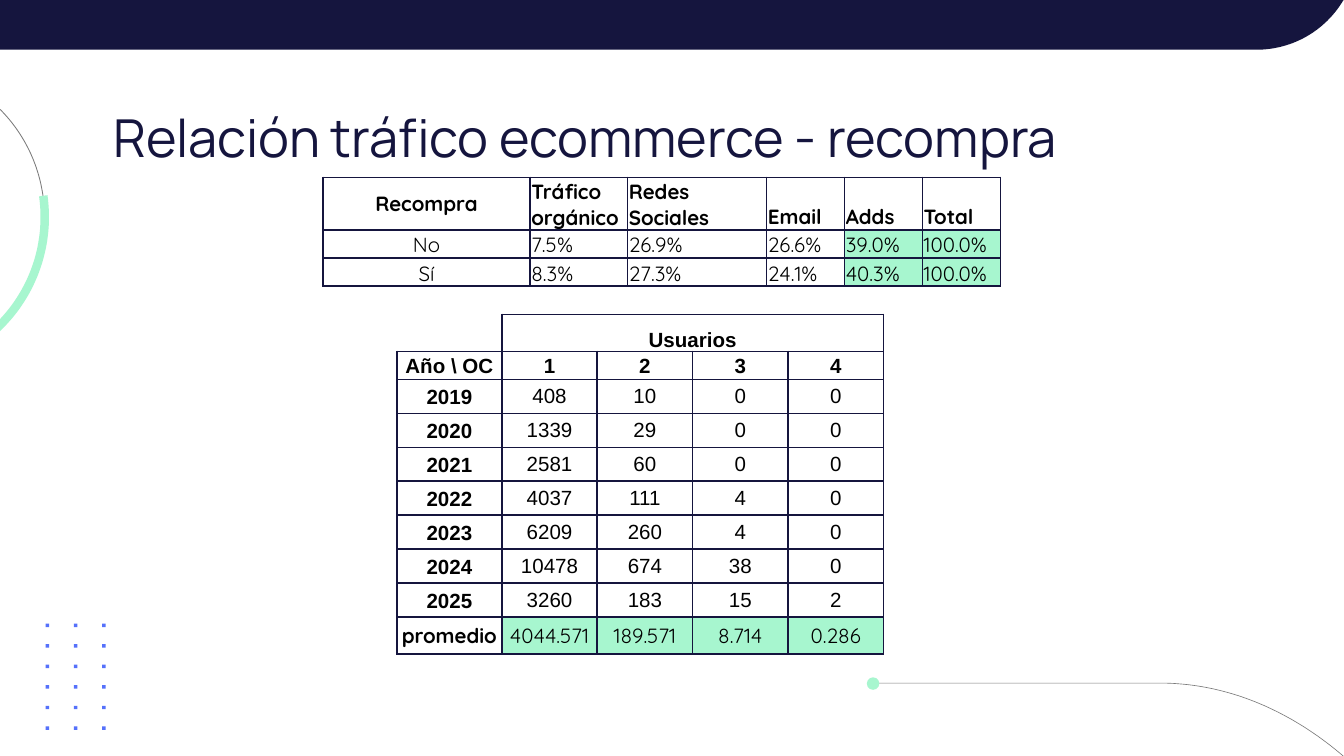
from collections.abc import Callable
from dataclasses import dataclass
from math import cos, radians, sin

from lxml.etree import SubElement
from pptx import Presentation
from pptx.dml.color import RGBColor
from pptx.enum.shapes import MSO_SHAPE
from pptx.enum.text import MSO_ANCHOR, PP_ALIGN
from pptx.oxml.ns import qn
from pptx.util import Emu, Inches, Pt


@dataclass(frozen=True)
class Theme:
    navy: str = "15153E"
    mint: str = "A7F6CF"
    blue: str = "5571FB"
    gray: str = "7A7A7A"
    black: str = "000000"
    title_font: str = "Manrope"
    table_font: str = "Quicksand"
    number_font: str = "Arial"
    title_size: int = 28
    table_size: int = 11


@dataclass(frozen=True)
class CellStyle:
    font: str
    bold: bool = False
    align: PP_ALIGN = PP_ALIGN.CENTER
    anchor: MSO_ANCHOR = MSO_ANCHOR.MIDDLE
    padding: tuple[float, float] = (0.1, 0)
    fill: str | None = None
    borders: str = "LRTB"


@dataclass(frozen=True)
class Grid:
    left: float
    top: float
    columns: list[float]
    rows: list[float]
    cells: list[list[str]]


THEME = Theme()
Point = tuple[float, float]

# The slide is a grid of 100 columns by 56.25 rows, each a tenth of an inch.
COLUMNS, ROWS = 100, 56.25


def unit(count: float) -> Emu:
    return Inches(count / 10)


def color(value: str) -> RGBColor:
    return RGBColor.from_string(value)


def write(para, text: str, *, font: str, size: float, ink: str,
          bold: bool = False, align: PP_ALIGN = PP_ALIGN.LEFT) -> None:
    para.alignment = align
    if not text:  # an empty cell still needs a type size for its row height
        SubElement(para._p, qn("a:endParaRPr"), sz=str(size * 100))
        return
    span = para.add_run()
    span.text = text
    span.font.name, span.font.size, span.font.bold = font, Pt(size), bold
    span.font.color.rgb = color(ink)


def paint(shape, fill: str | None = None, line: str | None = None, width: float = 0) -> None:
    shape.shadow.inherit = False
    if fill:
        shape.fill.solid()
        shape.fill.fore_color.rgb = color(fill)
    else:
        shape.fill.background()
    if line:
        shape.line.color.rgb = color(line)
        shape.line.width = Pt(width)
    else:
        shape.line.fill.background()


def arc(center: Point, radius: Point, start: float, end: float, steps: int = 40) -> list[Point]:
    """Points on an ellipse; angles in degrees, clockwise from the right."""
    angles = [radians(start + (end - start) * step / steps) for step in range(steps + 1)]
    return [(center[0] + radius[0] * cos(a), center[1] + radius[1] * sin(a)) for a in angles]


def draw_outline(slide, points: list[Point], *, fill: str | None = None,
                 line: str | None = None, width: float = 0) -> None:
    corners = [(unit(x), unit(y)) for x, y in points]
    builder = slide.shapes.build_freeform(*corners[0])
    builder.add_line_segments(corners[1:], close=fill is not None)
    paint(builder.convert_to_shape(), fill, line, width)


def draw_preset(slide, kind: MSO_SHAPE, left: float, top: float, size: float, fill: str) -> None:
    paint(slide.shapes.add_shape(kind, unit(left), unit(top), unit(size), unit(size)), fill)


def format_cell(cell, text: str, style: CellStyle) -> None:
    cell.margin_left = cell.margin_right = unit(0.1)
    cell.margin_top, cell.margin_bottom = map(unit, style.padding)
    cell.vertical_anchor = style.anchor
    properties = cell._tc.get_or_add_tcPr()
    for side in style.borders:
        line = SubElement(properties, qn(f"a:ln{side}"), w=str(Pt(1)))
        SubElement(SubElement(line, qn("a:solidFill")), qn("a:srgbClr"), val=THEME.navy)
    if style.fill:
        cell.fill.solid()
        cell.fill.fore_color.rgb = color(style.fill)
    else:
        cell.fill.background()
    write(cell.text_frame.paragraphs[0], text, font=style.font, size=THEME.table_size,
          ink=THEME.black, bold=style.bold, align=style.align)


def draw_table(slide, grid: Grid, style_of: Callable[[int, int], CellStyle]):
    frame = slide.shapes.add_table(
        len(grid.rows), len(grid.columns), unit(grid.left), unit(grid.top),
        unit(sum(grid.columns)), unit(sum(grid.rows)))
    table = frame.table
    table.first_row = table.horz_banding = False
    for column, width in zip(table.columns, grid.columns):
        column.width = unit(width)
    for row, height in zip(table.rows, grid.rows):
        row.height = unit(height)
    for r, texts in enumerate(grid.cells):
        for c, text in enumerate(texts):
            format_cell(table.cell(r, c), text, style_of(r, c))
    return table


def traffic_style(row: int, column: int) -> CellStyle:
    return CellStyle(
        THEME.table_font, bold=row == 0,
        align=PP_ALIGN.LEFT if column else PP_ALIGN.CENTER,
        anchor=MSO_ANCHOR.BOTTOM if row or column else MSO_ANCHOR.MIDDLE,
        fill=THEME.mint if row and column >= 4 else None)


def users_style(row: int, column: int) -> CellStyle:
    average, value = row == 9, row >= 2 and column > 0
    return CellStyle(
        THEME.table_font if average else THEME.number_font, bold=not value,
        anchor=MSO_ANCHOR.MIDDLE if row else MSO_ANCHOR.BOTTOM,
        padding=(0.3, 0.3) if value else (0.1, 0),
        fill=THEME.mint if average and value else None,
        borders="LRTB" if row or column else "RB")


TRAFFIC = Grid(24.04, 13.2, [15.4, 7.25, 10.35, 5.8, 5.8, 5.8], [3.9, 2.1, 2.1], [
    ["Recompra", "Tráfico orgánico", "Redes Sociales", "Email", "Adds", "Total"],
    ["No", "7.5%", "26.9%", "26.6%", "39.0%", "100.0%"],
    ["Sí", "8.3%", "27.3%", "24.1%", "40.3%", "100.0%"],
])
USERS = Grid(29.54, 23.4, [7.8] + [7.1] * 4, [2.75, 2.08] + [2.53] * 7 + [2.75], [
    ["", "Usuarios", "", "", ""],
    ["Año \\ OC", "1", "2", "3", "4"],
    ["2019", "408", "10", "0", "0"],
    ["2020", "1339", "29", "0", "0"],
    ["2021", "2581", "60", "0", "0"],
    ["2022", "4037", "111", "4", "0"],
    ["2023", "6209", "260", "4", "0"],
    ["2024", "10478", "674", "38", "0"],
    ["2025", "3260", "183", "15", "2"],
    ["promedio", "4044.571", "189.571", "8.714", "0.286"],
])


def draw_decoration(slide) -> None:
    # Header band with a rounded corner
    band = [(0, 0), (0, 3.7)] + arc((93.5, -3.8), (7.5, 7.5), 90, 30.4) + [(COLUMNS, 0)]
    draw_outline(slide, band, fill=THEME.navy)
    # Curve with a dot at the lower right
    curve = [(65, 50.83)] + arc((86.3, 92.63), (27.7, 41.8), -90, -60.4)
    draw_outline(slide, curve, line=THEME.gray, width=0.35)
    draw_preset(slide, MSO_SHAPE.OVAL, 64.5, 50.4, 0.93, THEME.mint)
    # Thin and thick arcs of one circle at the left edge
    center = (-8.05, 16.15)
    draw_outline(slide, arc(center, (11.36, 11.36), -44.8, -7.8), line=THEME.gray, width=0.44)
    ring = arc(center, (11.7, 11.7), -8, 46.6) + arc(center, (11.07, 11.07), 43.3, -8)
    draw_outline(slide, ring, fill=THEME.mint)
    # Field of small squares
    for row in range(6):
        for column in range(3):
            draw_preset(slide, MSO_SHAPE.RECTANGLE, 3.4 + 2.1 * column, 46.4 + 1.53 * row,
                        0.26, THEME.blue)


def main() -> None:
    deck = Presentation()
    deck.slide_width, deck.slide_height = unit(COLUMNS), unit(ROWS)
    slide = deck.slides.add_slide(deck.slide_layouts[6])
    draw_decoration(slide)

    # Title
    box = slide.shapes.add_textbox(unit(7.45), unit(6.87), unit(81.9), unit(11))
    frame = box.text_frame
    frame.word_wrap = True
    frame.margin_left = frame.margin_right = frame.margin_top = frame.margin_bottom = unit(1)
    write(frame.paragraphs[0], "Relación tráfico ecommerce - recompra",
          font=THEME.title_font, size=THEME.title_size, ink=THEME.navy)

    # Tables
    draw_table(slide, TRAFFIC, traffic_style)
    users = draw_table(slide, USERS, users_style)
    users.cell(0, 1).merge(users.cell(0, 4))

    deck.save("out.pptx")


if __name__ == "__main__":
    main()
